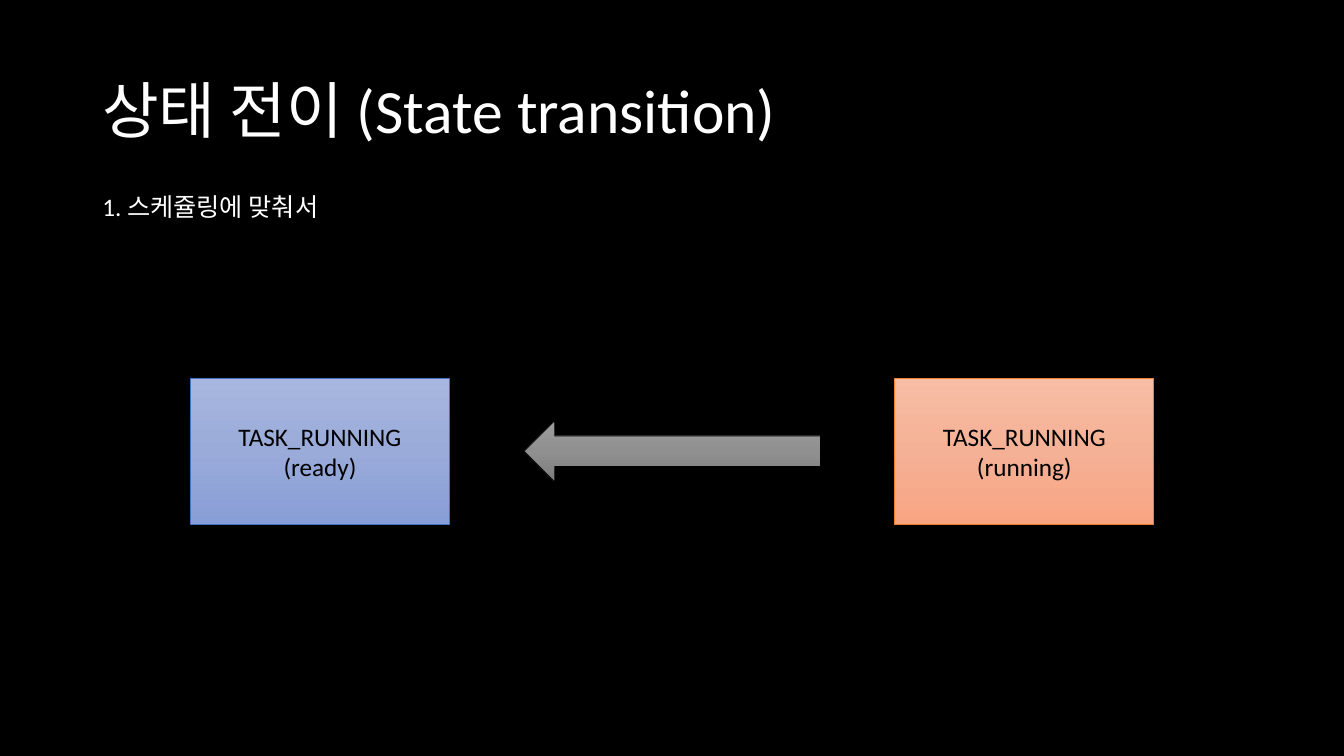
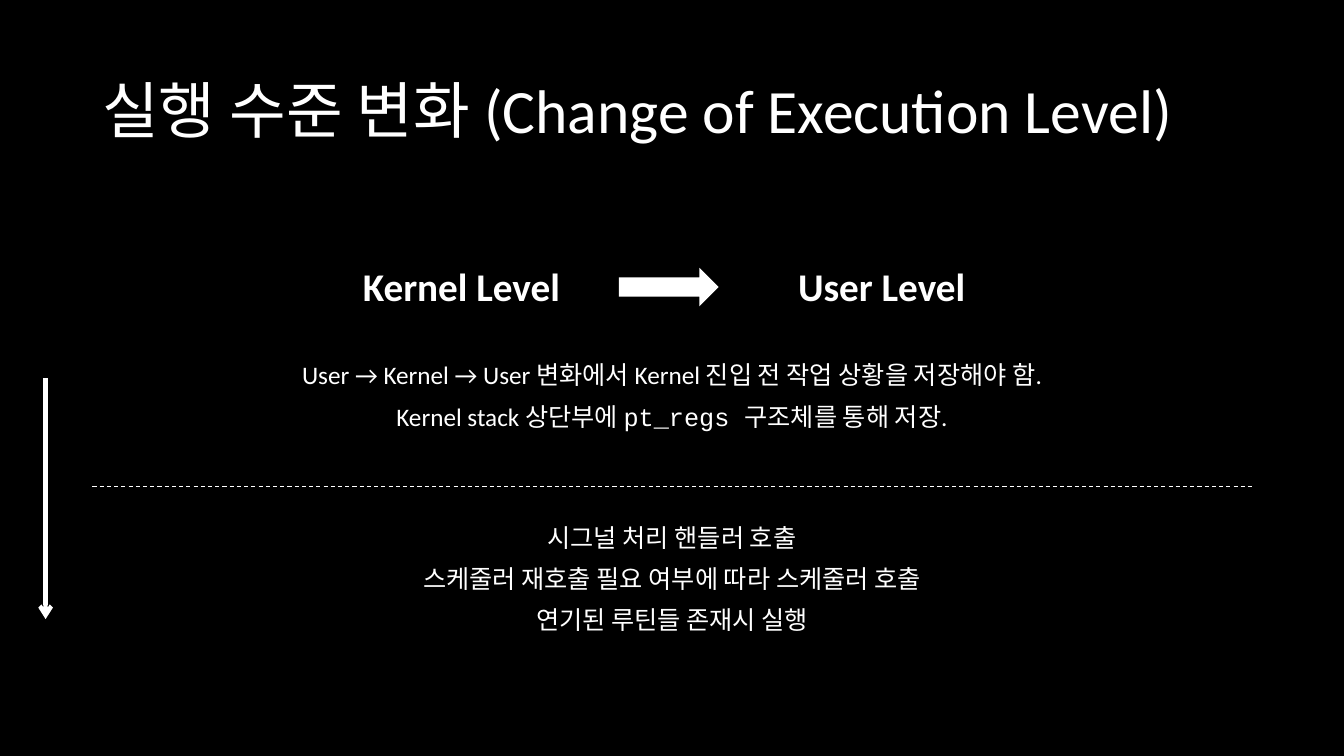
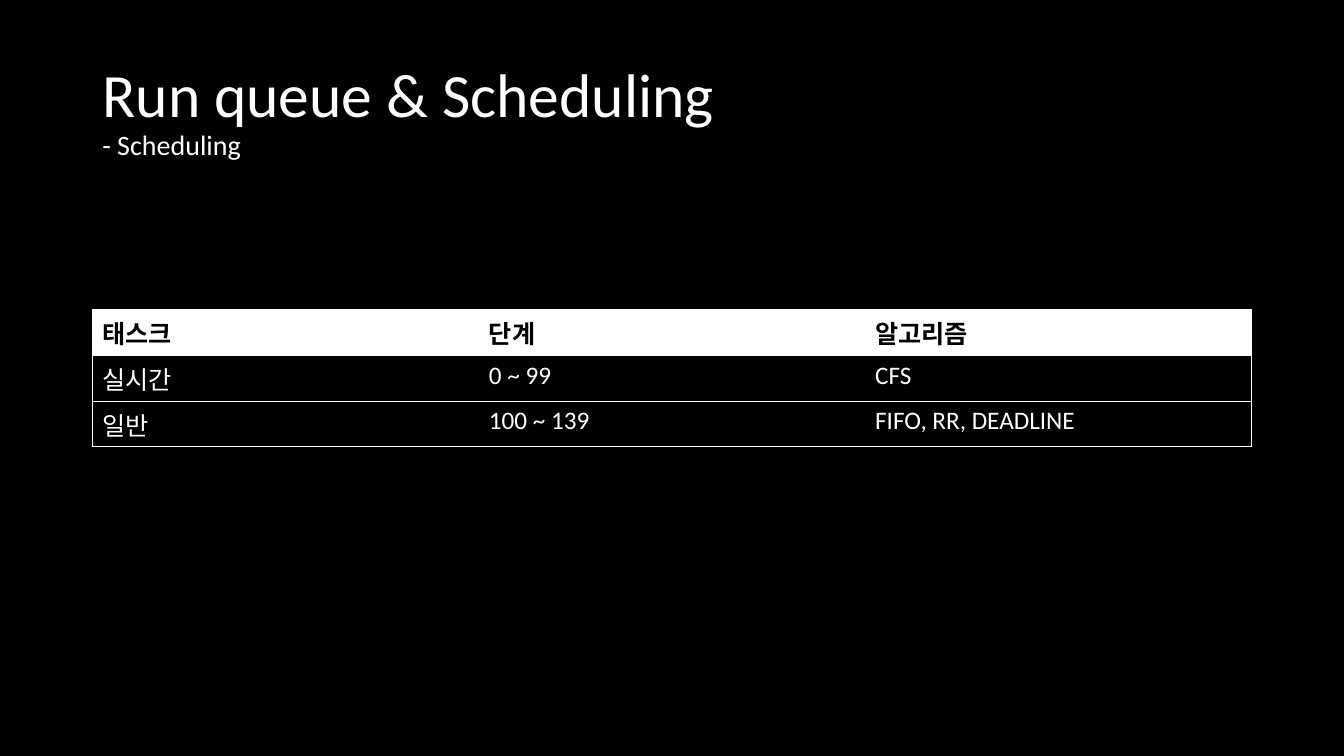
from copy import deepcopy

from lxml.etree import SubElement
from pptx import Presentation
from pptx.dml.color import RGBColor
from pptx.enum.dml import MSO_LINE
from pptx.enum.shapes import MSO_CONNECTOR, MSO_SHAPE
from pptx.enum.text import MSO_ANCHOR, PP_ALIGN
from pptx.oxml.ns import qn
from pptx.util import Cm, Pt

COLOURS = {
    "black": "000000", "white": "FFFFFF",
    "blue": "4472C4", "orange": "ED7D31",
}
GRADIENTS = {
    "grey": ["9D9D9D", "909090", "7C7C7C"],
    "blue": ["A8B7DF", "9AABD9", "889ED7"],
    "orange": ["F7BDA5", "F5B196", "F8A582"],
}
FONT, CODE_FONT = "Calibri", "Courier New"
TITLE_SIZE, SUBTITLE_SIZE, LABEL_SIZE, BODY_SIZE = 44, 20, 28, 18
LEFT, CONTENT_WIDTH = 2.33, 29.21

TRANSITION_TITLE = "상태 전이 (State transition)"
TRANSITION_NOTE = "1. 스케쥴링에 맞춰서"
STATES = [
    (4.8, "blue", ["TASK_RUNNING", "(ready)"]),
    (22.55, "orange", ["TASK_RUNNING", "(running)"]),
]

LEVEL_TITLE = "실행 수준 변화 (Change of Execution Level)"
LEVELS = [(7.67, "Kernel Level"), (18.26, "User Level")]
STEPS = [
    (8.31, [
        ["User → Kernel → User 변화에서 Kernel 진입 전 작업 상황을 저장해야 함."],
        ["Kernel stack 상단부에 ", ("pt_regs ", CODE_FONT), "구조체를 통해 저장."],
    ]),
    (12.93, [
        ["시그널 처리 핸들러 호출"],
        ["스케줄러 재호출 필요 여부에 따라 스케줄러 호출"],
        ["연기된 루틴들 존재시 실행"],
    ]),
]

SCHEDULING_TITLE = "Run queue & Scheduling"
SCHEDULING_SUBTITLE = "- Scheduling"
SCHEDULING_ROWS = [
    ["태스크", "단계", "알고리즘"],
    ["실시간", "0 ~ 99", "CFS"],
    ["일반", "100 ~ 139", "FIFO, RR, DEADLINE"],
]


def colour(name):
    return RGBColor.from_string(COLOURS[name])


def add_span(para, text, size=BODY_SIZE, font=FONT, ink="white", bold=False):
    span = para.add_run()
    span.text = text
    span.font.size = Pt(size)
    span.font.name = font
    span.font.bold = bold
    span.font.color.rgb = colour(ink)


def add_paragraphs(frame, lines, align=PP_ALIGN.CENTER, spaced=False, **style):
    """Write lines of spans; a span is a text or a (text, font) pair."""
    for index, line in enumerate(lines):
        para = frame.add_paragraph() if index else frame.paragraphs[0]
        para.alignment = align
        if spaced:
            para.line_spacing = 0.9
            para.space_before = Pt(10)
        for part in line:
            text, font = (part, FONT) if isinstance(part, str) else part
            add_span(para, text, font=font, **style)


def add_frame(page, left, top, width, height, anchor=MSO_ANCHOR.MIDDLE):
    box = page.shapes.add_textbox(Cm(left), Cm(top), Cm(width), Cm(height))
    frame = box.text_frame
    frame.word_wrap = True
    frame.vertical_anchor = anchor
    return frame


def add_page(deck, title, subtitle=None):
    page = deck.slides.add_slide(deck.slide_layouts[6])
    para = add_frame(page, LEFT, 1.01, CONTENT_WIDTH, 3.68).paragraphs[0]
    para.line_spacing = 0.9
    add_span(para, title, TITLE_SIZE)
    if subtitle:
        para.add_line_break()
        add_span(para, subtitle, SUBTITLE_SIZE)
    return page


def add_preset(page, preset, left, top, width, height):
    shape = page.shapes.add_shape(preset, Cm(left), Cm(top), Cm(width), Cm(height))
    shape.shadow.inherit = False
    return shape


def paint_gradient(shape, gradient, line):
    """Give a top-to-bottom gradient of three stops and a thin outline."""
    shape.fill.gradient()
    shape.fill.gradient_angle = 270
    stop_list = shape._element.spPr.find(qn("a:gradFill")).find(qn("a:gsLst"))
    stop_list.insert(1, deepcopy(stop_list[0]))
    for index, (stop, value) in enumerate(zip(shape.fill.gradient_stops, GRADIENTS[gradient])):
        stop.position = index / 2
        stop.color.rgb = RGBColor.from_string(value)
    shape.line.color.rgb = colour(line)
    shape.line.width = Pt(0.5)


def add_line(page, x1, y1, x2, y2, width):
    line = page.shapes.add_connector(MSO_CONNECTOR.STRAIGHT, Cm(x1), Cm(y1), Cm(x2), Cm(y2))
    line.line.color.rgb = colour("white")
    line.line.width = Pt(width)
    SubElement(line._element.spPr, qn("a:effectLst"))
    return line


def set_borders(cell, visible):
    """Draw the named sides (L, R, T, B) in white and clear the others."""
    properties = cell._tc.get_or_add_tcPr()
    for index, side in enumerate("LRTB"):
        border = SubElement(properties, qn(f"a:ln{side}"), w=str(Pt(0.5)))
        if side in visible:
            fill = SubElement(border, qn("a:solidFill"))
            SubElement(fill, qn("a:srgbClr"), val=COLOURS["white"])
        else:
            SubElement(border, qn("a:noFill"))
        properties.insert(index, border)


def build_transition(deck):
    page = add_page(deck, TRANSITION_TITLE)
    arrow = add_preset(page, MSO_SHAPE.LEFT_ARROW, 13.21, 10.6, 7.47, 1.54)
    paint_gradient(arrow, "grey", "black")
    for left, hue, lines in STATES:
        state = add_preset(page, MSO_SHAPE.RECTANGLE, left, 9.53, 6.53, 3.68)
        paint_gradient(state, hue, hue)
        state.text_frame.vertical_anchor = MSO_ANCHOR.MIDDLE
        add_paragraphs(state.text_frame, [[line] for line in lines], ink="black")
    note = add_frame(page, LEFT, 4.69, 13.36, 1.03, MSO_ANCHOR.TOP)
    add_paragraphs(note, [[TRANSITION_NOTE]], PP_ALIGN.JUSTIFY)


def build_levels(deck):
    page = add_page(deck, LEVEL_TITLE)
    arrow = add_preset(page, MSO_SHAPE.RIGHT_ARROW, 15.6, 6.75, 2.51, 0.97)
    arrow.fill.solid()
    arrow.fill.fore_color.rgb = colour("white")
    arrow.line.fill.background()
    for left, label in LEVELS:
        frame = add_frame(page, left, 6.48, 7.92, 1.45)
        add_paragraphs(frame, [[label]], size=LABEL_SIZE, bold=True)
    for top, lines in STEPS:
        frame = add_frame(page, LEFT, top, CONTENT_WIDTH, 3.4)
        add_paragraphs(frame, lines, spaced=True)
    divider = add_line(page, LEFT, 12.26, LEFT + CONTENT_WIDTH, 12.26, 0.75)
    divider.line.dash_style = MSO_LINE.DASH
    flow = add_line(page, 1.15, 9.53, 1.15, 15.6, 3)
    SubElement(flow.line._get_or_add_ln(), qn("a:tailEnd"), type="arrow")


def build_scheduling(deck):
    page = add_page(deck, SCHEDULING_TITLE, SCHEDULING_SUBTITLE)
    row_count, column_count = len(SCHEDULING_ROWS), len(SCHEDULING_ROWS[0])
    table = page.shapes.add_table(
        row_count, column_count, Cm(LEFT), Cm(7.8), Cm(CONTENT_WIDTH), Cm(1.15 * row_count)
    ).table
    table.horz_banding = False
    for row, texts in enumerate(SCHEDULING_ROWS):
        header = row == 0
        for column, text in enumerate(texts):
            cell = table.cell(row, column)
            cell.fill.solid()
            cell.fill.fore_color.rgb = colour("white" if header else "black")
            sides = "TB" + "L" * (column == 0) + "R" * (column == column_count - 1)
            set_borders(cell, sides)
            add_paragraphs(cell.text_frame, [[text]], PP_ALIGN.LEFT,
                           ink="black" if header else "white", bold=header)


def main():
    deck = Presentation()
    deck.slide_width, deck.slide_height = Cm(33.87), Cm(19.05)
    backdrop = deck.slide_master.background.fill
    backdrop.solid()
    backdrop.fore_color.rgb = colour("black")
    build_transition(deck)
    build_levels(deck)
    build_scheduling(deck)
    deck.save("out.pptx")


if __name__ == "__main__":
    main()
